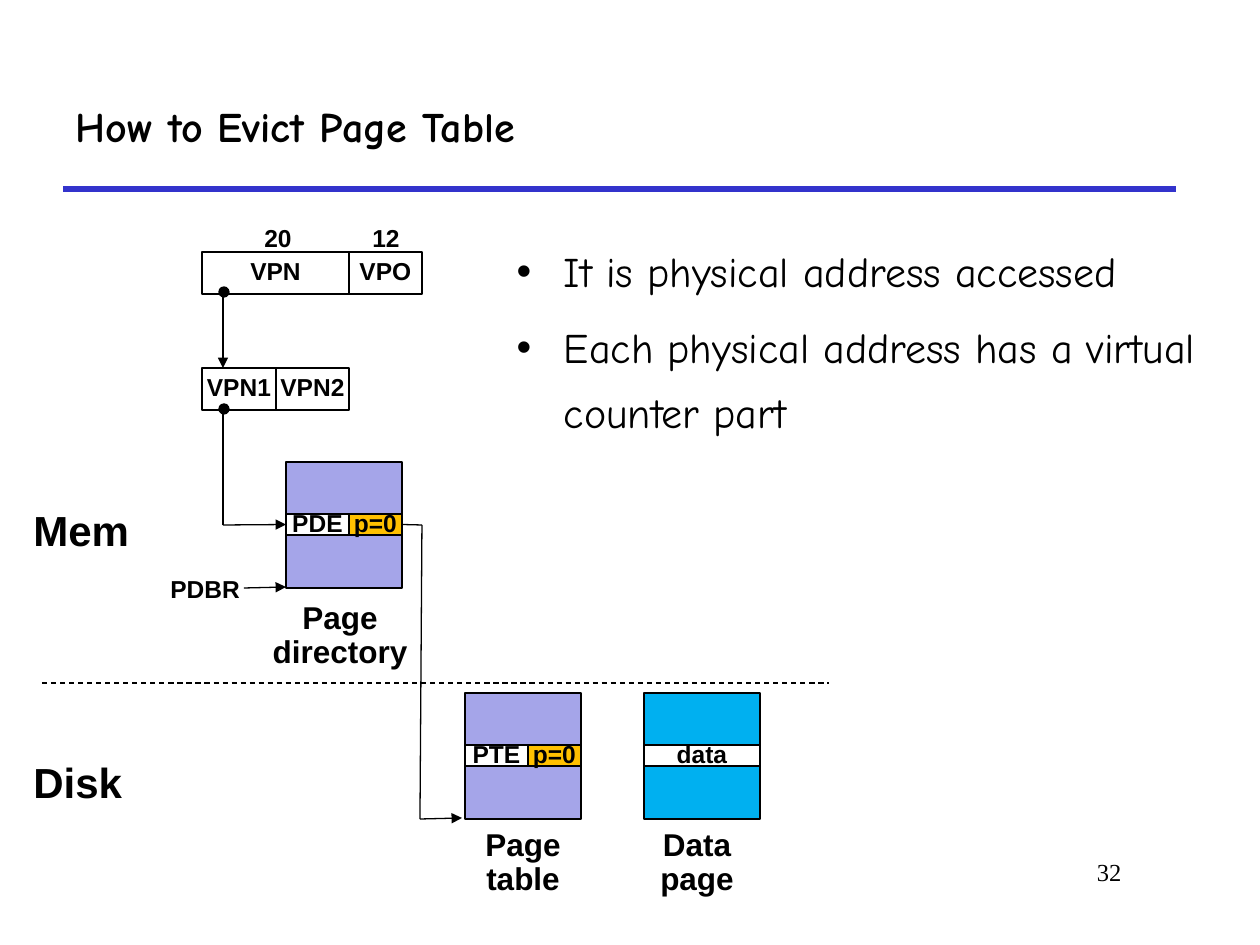
from pptx import Presentation
from pptx.dml.color import RGBColor
from pptx.enum.dml import MSO_LINE
from pptx.enum.shapes import MSO_CONNECTOR, MSO_SHAPE
from pptx.enum.text import MSO_ANCHOR, MSO_AUTO_SIZE, PP_ALIGN
from pptx.oxml.ns import qn
from pptx.util import Emu, Pt
from lxml import etree

PX_PER_INCH = 126
RECTANGLE, OVAL = MSO_SHAPE.RECTANGLE, MSO_SHAPE.OVAL
STRAIGHT, DASH = MSO_CONNECTOR.STRAIGHT, MSO_LINE.DASH
LEFT, CENTER, RIGHT = PP_ALIGN.LEFT, PP_ALIGN.CENTER, PP_ALIGN.RIGHT
TOP, MIDDLE = MSO_ANCHOR.TOP, MSO_ANCHOR.MIDDLE
NO_AUTOFIT = MSO_AUTO_SIZE.NONE
SIDE_TOP, SIDE_LEFT, SIDE_BOTTOM, SIDE_RIGHT = range(4)

BLACK, WHITE, RULE_BLUE = "000000", "FFFFFF", "3333CC"
LAVENDER, AMBER, SKY = "A5A5E9", "FFC000", "00B0F0"

# Text formats: font and paragraph values
LABEL_PARAGRAPH = {"line_spacing": 0.9}
SMALL = {"name": "Arial", "size": Pt(14), "bold": True}
CAPTION = {"name": "Arial", "size": Pt(18), "bold": True}
LARGE = {"name": "Arial", "size": Pt(24), "bold": True}
TITLE = {"name": "Comic Neue", "size": Pt(24), "bold": True}
BODY = {"name": "Comic Neue", "size": Pt(24), "bold": False}
NUMBER = {"name": "Times New Roman", "size": Pt(14)}


def px(value):
    return Emu(round(value * 914400 / PX_PER_INCH))


def color(value):
    return RGBColor.from_string(value)


def set_text(shape, lines, font, paragraph_format, anchor=TOP, wrap=True):
    frame = shape.text_frame
    frame.text = "\n".join(lines)
    frame.auto_size = NO_AUTOFIT
    frame.vertical_anchor = anchor
    frame.word_wrap = wrap
    for paragraph in frame.paragraphs:
        for name, value in paragraph_format.items():
            setattr(paragraph, name, value)
        for run in paragraph.runs:
            for name, value in font.items():
                setattr(run.font, name, value)
            run.font.color.rgb = color(BLACK)


def fill_placeholder(shape, box, lines, font, paragraph_format, anchor):
    shape.left, shape.top, shape.width, shape.height = map(px, box)
    set_text(shape, lines, font, paragraph_format, anchor)


def add_label(slide, box, text, font, alignment=LEFT, wrap=False):
    label = slide.shapes.add_textbox(*map(px, box))
    paragraph_format = LABEL_PARAGRAPH | {"alignment": alignment}
    set_text(label, [text], font, paragraph_format, wrap=wrap)


def add_box(slide, box, fill, text=None, kind=RECTANGLE):
    shape = slide.shapes.add_shape(kind, *map(px, box))
    shape.shadow.inherit = False
    shape.fill.solid()
    shape.fill.fore_color.rgb = color(fill)
    shape.line.color.rgb = color(BLACK)
    shape.line.width = Pt(0.75)
    if text:
        paragraph_format = LABEL_PARAGRAPH | {"alignment": CENTER}
        set_text(shape, [text], SMALL, paragraph_format, MIDDLE, False)
    return shape


def add_line(slide, start, end, arrow=False, dash=None, stroke=BLACK,
             width=0.75):
    line = slide.shapes.add_connector(STRAIGHT, *map(px, start + end))
    line.line.color.rgb = color(stroke)
    line.line.width = Pt(width)
    if dash:
        line.line.dash_style = dash
    if arrow:
        etree.SubElement(line.line._get_or_add_ln(), qn("a:tailEnd"),
                         type="triangle")
    etree.SubElement(line._element.spPr, qn("a:effectLst"))
    return line


def add_page(slide, left, top, fill, cells):
    """Draw a memory page with one row of (text, width, fill) cells."""
    add_box(slide, (left, top, 116, 126), fill)
    boxes = []
    for text, width, cell_fill in cells:
        boxes.append(add_box(slide, (left, top + 52, width, 21),
                             cell_fill, text))
        left += width
    return boxes


def main():
    presentation = Presentation()
    presentation.slide_width, presentation.slide_height = px(1260), px(945)
    slide = presentation.slides.add_slide(presentation.slide_layouts[1])

    # Title, rule, bullets and page number
    fill_placeholder(slide.shapes.title, (63, 63, 1113, 126),
                     ["How to Evict Page Table"], TITLE,
                     {"alignment": LEFT}, MIDDLE)
    add_line(slide, (63, 189), (1176, 189), stroke=RULE_BLUE, width=3)
    fill_placeholder(slide.placeholders[1], (504, 224, 709, 260),
                     ["It is physical address accessed",
                      "Each physical address has a virtual counter part"],
                     BODY, {"line_spacing": 1.3, "space_before": Pt(6)}, TOP)
    number = slide.shapes.add_textbox(*map(px, (955, 851, 179, 63)))
    set_text(number, ["32"], NUMBER, {"alignment": RIGHT})

    # Virtual address fields
    for left, top, width, text in ((202, 252, 147, "VPN"),
                                   (349, 252, 73, "VPO"),
                                   (202, 368, 74, "VPN1"),
                                   (276, 368, 73, "VPN2")):
        add_box(slide, (left, top, width, 42), WHITE, text)
    for left, text in ((252, "20"), (360, "12")):
        add_label(slide, (left, 220, 53, 39), text, SMALL)

    # Pages in memory and on disk
    entry, present = add_page(slide, 286, 462, LAVENDER,
                              [("PDE", 63, WHITE), ("p=0", 53, AMBER)])
    add_page(slide, 465, 693, LAVENDER,
             [("PTE", 63, WHITE), ("p=0", 53, AMBER)])
    add_page(slide, 644, 693, SKY, [("data", 116, WHITE)])
    for left, top, text in ((255, 596, "Page directory"),
                            (438, 823, "Page table"),
                            (612, 823, "Data page")):
        add_label(slide, (left, top, 170, 81), text, CAPTION, CENTER, True)

    # Address lookup path
    add_line(slide, (223, 294), (223, 368), arrow=True)
    add_line(slide, (223, 410), (223, 525))
    to_entry = add_line(slide, (223, 525), (286, 525), arrow=True)
    to_entry.end_connect(entry, SIDE_LEFT)
    from_present = add_line(slide, (402, 525), (422, 525))
    from_present.begin_connect(present, SIDE_RIGHT)
    add_line(slide, (422, 525), (420, 819))
    add_line(slide, (420, 819), (462, 818), arrow=True)
    for top in (287, 404):
        add_box(slide, (219, top, 10, 10), BLACK, kind=OVAL)
    add_label(slide, (158, 571, 94, 39), "PDBR", SMALL)
    add_line(slide, (244, 588), (286, 587), arrow=True)

    # Memory and disk regions
    add_line(slide, (42, 683), (829, 683), dash=DASH)
    add_label(slide, (21, 504, 121, 58), "Mem", LARGE)
    add_label(slide, (21, 756, 113, 58), "Disk", LARGE)

    presentation.save("out.pptx")


if __name__ == "__main__":
    main()
